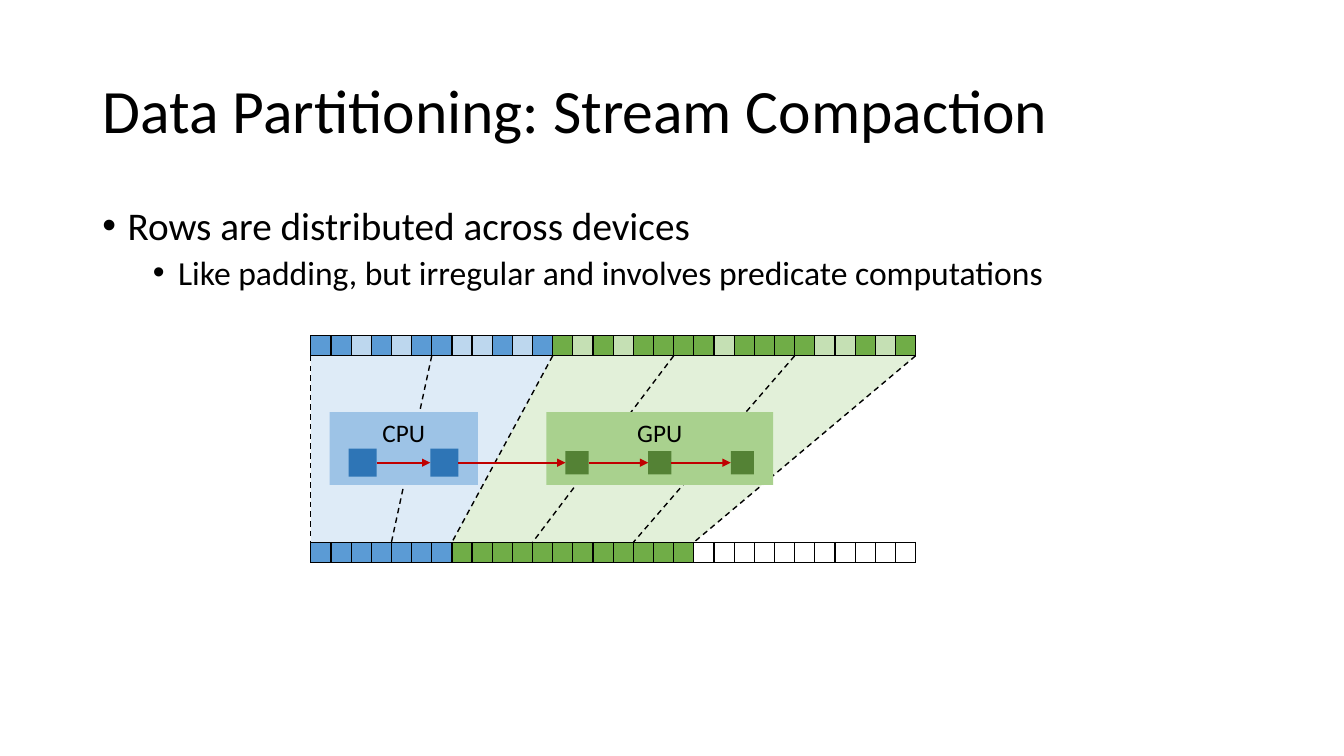
"""Build the stream compaction slide, with rows of data split between CPU and GPU."""
from itertools import pairwise

from lxml.etree import SubElement
from pptx import Presentation
from pptx.dml.color import RGBColor
from pptx.enum.dml import MSO_LINE as Dash
from pptx.enum.shapes import MSO_CONNECTOR as Link, MSO_SHAPE as Preset
from pptx.enum.text import MSO_ANCHOR as Anchor, MSO_AUTO_SIZE as Fit, PP_ALIGN as Align
from pptx.oxml.ns import qn
from pptx.util import Pt

TITLE = "Data Partitioning: Stream Compaction"
BULLETS = [
    {"text": "Rows are distributed across devices", "level": 0, "size": 28, "before": 10, "indent": 18},
    {"text": "Like padding, but irregular and involves predicate computations",
     "level": 1, "size": 24, "before": 5, "indent": 54},
]
COLORS = {
    "black": "000000", "arrow": "C00000",
    "B": "5B9BD5", "b": "BDD7EE", "G": "70AD47", "g": "C5E0B4", "-": "FFFFFF",
    "cpu area": "DEEBF7", "cpu box": "9DC3E6", "cpu step": "2E75B6",
    "gpu area": "E2F0D9", "gpu box": "A9D18E", "gpu step": "548235",
}
INPUT_ROW = "BBbBbBBbbBbB" + "GgGgGGGGgGGGGggGgG"
OUTPUT_ROW = "B" * 7 + "G" * 12 + "-" * 11
BOUNDARIES = [(0, 0), (6, 4), (12, 7), (18, 11), (24, 16), (30, 19)]
AREAS = [("gpu area", 6, 19, 30), ("cpu area", 0, 7, 12)]
DEVICES = [
    {"name": "GPU", "left": 390.2, "width": 162, "step": 16.6, "steps": [403.9, 463, 522]},
    {"name": "CPU", "left": 235.4, "width": 106, "step": 20, "steps": [249.1, 307.4]},
]
CELL, ROW_LEFT, INPUT_TOP, OUTPUT_TOP = 14.4, 222, 239.8, 387.4
BOX_TOP, BOX_HEIGHT, ARROW_Y = 294.5, 52, 330.5
FONT = {"name": "Calibri"}


def rgb(color):
    return RGBColor.from_string(COLORS[color])


def apply(target, values):
    for key, value in values.items():
        setattr(target, key, value)


def style_font(font, size):
    apply(font, FONT | {"size": Pt(size)})
    font.color.rgb = rgb("black")


def place(holder, box):
    apply(holder, dict(zip(("left", "top", "width", "height"), map(Pt, box))))
    apply(holder.text_frame, {"auto_size": Fit.NONE, "word_wrap": True})


def add_block(shapes, preset, box, color):
    block = shapes.add_shape(preset, *map(Pt, box))
    block.shadow.inherit = False
    block.fill.solid()
    block.fill.fore_color.rgb = rgb(color)
    block.line.fill.background()
    return block


def add_line(shapes, start, end, color, width):
    line = shapes.add_connector(Link.STRAIGHT, *map(Pt, start + end))
    line.line.color.rgb = rgb(color)
    line.line.width = Pt(width)
    SubElement(line.element.spPr, qn("a:effectLst"))
    return line


def cell_x(index):
    return ROW_LEFT + index * CELL


def add_row(shapes, top, pattern):
    frame = shapes.add_table(1, len(pattern), Pt(ROW_LEFT), Pt(top), Pt(CELL * len(pattern)), Pt(CELL))
    apply(frame.table, {"first_row": False, "horz_banding": False})
    for column, cell, color in zip(frame.table.columns, frame.table.iter_cells(), pattern):
        column.width = Pt(CELL)
        apply(cell, dict.fromkeys(("margin_left", "margin_right", "margin_top", "margin_bottom"), 0))
        SubElement(cell.text_frame.paragraphs[0]._p, qn("a:endParaRPr"), sz="800")
        properties = cell._tc.get_or_add_tcPr()
        for side in ("a:lnL", "a:lnR", "a:lnT", "a:lnB"):
            edge = SubElement(properties, qn(side), w=str(Pt(1)))
            SubElement(SubElement(edge, qn("a:solidFill")), qn("a:srgbClr"), val=COLORS["black"])
        cell.fill.solid()
        cell.fill.fore_color.rgb = rgb(color)


def add_text(slide):
    title, body = slide.placeholders
    place(title, (66, 28.8, 828, 104.4))
    title.text_frame.vertical_anchor = Anchor.MIDDLE
    title.text_frame.text = TITLE
    heading = title.text_frame.paragraphs[0]
    apply(heading, {"alignment": Align.LEFT, "line_spacing": 0.9})
    style_font(heading.runs[0].font, 44)
    place(body, (66, 144, 828, 342.6))
    body.text_frame.text = "\n".join(bullet["text"] for bullet in BULLETS)
    for paragraph, bullet in zip(body.text_frame.paragraphs, BULLETS):
        apply(paragraph, {"level": bullet["level"], "line_spacing": 0.9,
                          "space_before": Pt(bullet["before"])})
        style_font(paragraph.runs[0].font, bullet["size"])
        properties = paragraph._p.get_or_add_pPr()
        properties.set("marL", str(Pt(bullet["indent"])))
        properties.set("indent", str(Pt(-18)))
        SubElement(properties, qn("a:buFont"), typeface="Arial")
        SubElement(properties, qn("a:buChar"), char="•")


def add_partitions(shapes):
    top = INPUT_TOP + CELL
    height = OUTPUT_TOP - top
    for color, start, output_end, input_end in AREAS:
        left, middle, right = map(cell_x, (start, output_end, input_end))
        slope = add_block(shapes, Preset.RIGHT_TRIANGLE, (middle, top, right - middle, height), color)
        slope.element.spPr.find(qn("a:xfrm")).set("flipV", "1")
        add_block(shapes, Preset.RECTANGLE, (left, top, middle - left, height), color)
    for source, target in BOUNDARIES:
        boundary = add_line(shapes, (cell_x(source), top), (cell_x(target), OUTPUT_TOP), "black", 1)
        boundary.line.dash_style = Dash.DASH
    add_row(shapes, OUTPUT_TOP, OUTPUT_ROW)
    add_row(shapes, INPUT_TOP, INPUT_ROW)


def add_devices(shapes):
    spans = []
    for device in DEVICES:
        key, step = device["name"].lower(), device["step"]
        box = add_block(shapes, Preset.RECTANGLE,
                        (device["left"], BOX_TOP, device["width"], BOX_HEIGHT), f"{key} box")
        box.text_frame.vertical_anchor = Anchor.TOP
        box.text_frame.text = device["name"]
        label = box.text_frame.paragraphs[0]
        label.alignment = Align.CENTER
        style_font(label.runs[0].font, 18)
        for left in device["steps"]:
            add_block(shapes, Preset.RECTANGLE, (left, ARROW_Y - step / 2, step, step), f"{key} step")
            spans.append((left, left + step))
    for (_, start), (end, _) in pairwise(sorted(spans)):
        arrow = add_line(shapes, (start, ARROW_Y), (end, ARROW_Y), "arrow", 1.5)
        SubElement(arrow.line._get_or_add_ln(), qn("a:tailEnd"), type="triangle")


def main():
    deck = Presentation()
    apply(deck, {"slide_width": Pt(960), "slide_height": Pt(540)})
    slide = deck.slides.add_slide(deck.slide_layouts[1])
    add_text(slide)
    add_partitions(slide.shapes)
    add_devices(slide.shapes)
    deck.save("out.pptx")


if __name__ == "__main__":
    main()
